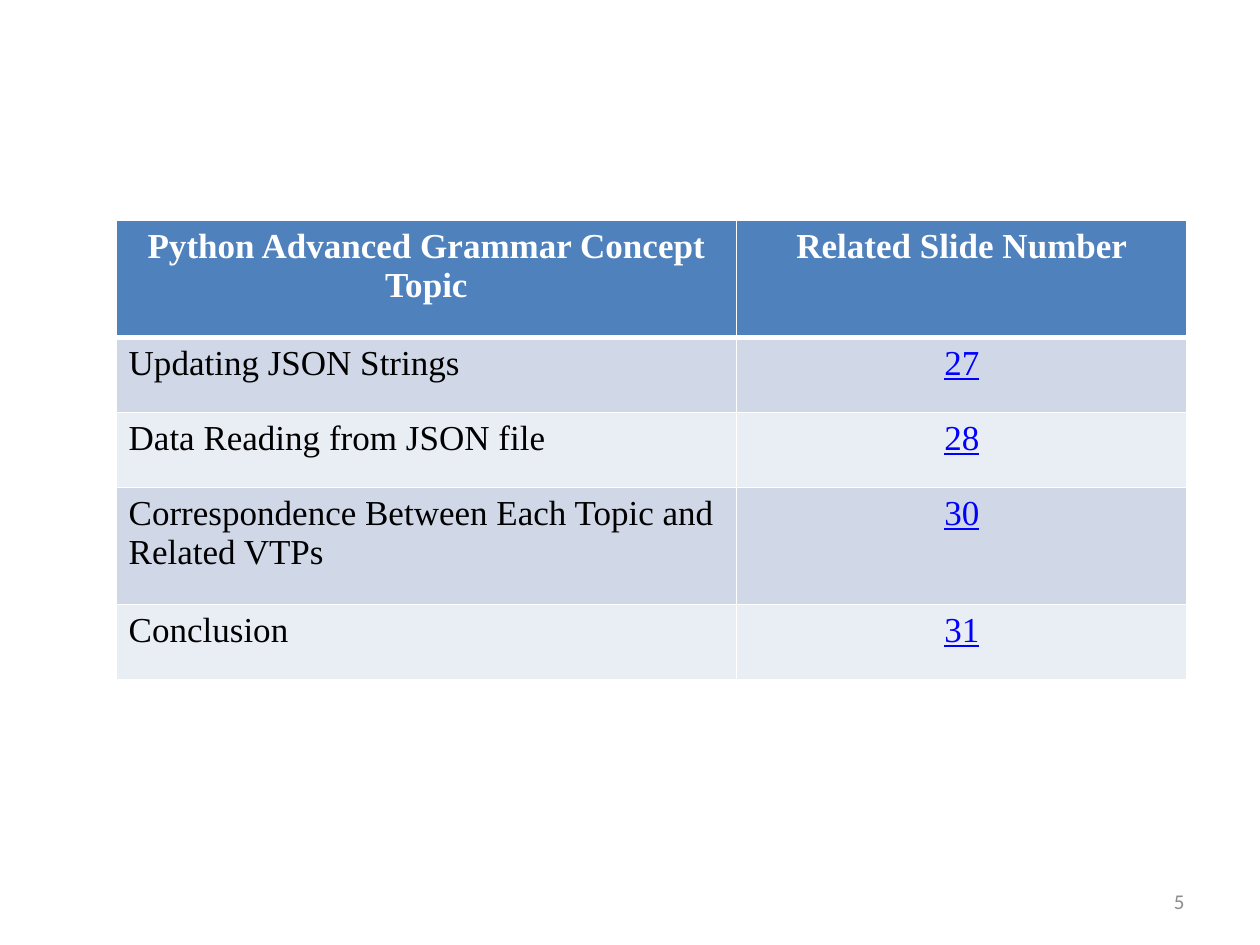
from lxml.etree import SubElement
from pptx import Presentation
from pptx.dml.color import RGBColor as RGB
from pptx.enum.text import MSO_ANCHOR as Anchor, PP_ALIGN as Align
from pptx.oxml.ns import qn
from pptx.util import Cm, Pt

# Content
HEADER = ("Python Advanced Grammar Concept Topic", "Related Slide Number")
TOPICS = [
    ("Updating JSON Strings", "27"),
    ("Data Reading from JSON file", "28"),
    ("Correspondence Between Each Topic and Related VTPs", "30"),
    ("Conclusion", "31"),
]
PAGE_NUMBER = "5"

THEME = {
    "table_font": "Times New Roman", "table_size": 20,
    "page_font": "Calibri", "page_size": 12, "page_color": "8C8C8C",
    "header_fill": "4F81BD", "bands": ("D0D8E8", "E9EDF4"),
    "header_text": "FFFFFF", "text": "000000", "link": "0000FF",
    "border": "FFFFFF", "thin": 1, "thick": 3,
}

# Geometry in centimetres
COLUMNS = (12.51, 9.08)
SHORT_ROW, TALL_ROW = 1.51, 2.36
ONE_LINE_CHARS = 36


def style_run(r, font, size, color, bold=False, underline=False):
    r.font.name, r.font.size = font, Pt(size)
    r.font.color.rgb = RGB.from_string(color)
    r.font.bold, r.font.underline = bold, underline


def set_borders(cell, widths):
    tc_pr = cell._tc.get_or_add_tcPr()
    for side, width in zip("LRTB", widths):
        ln = SubElement(tc_pr, qn(f"a:ln{side}"), w=str(Pt(width)))
        fill = SubElement(ln, qn("a:solidFill"))
        SubElement(fill, qn("a:srgbClr"), val=THEME["border"])


def fill_cell(cell, text, row, col):
    is_header, is_link = row == 0, row > 0 and col == 1
    thin, thick = THEME["thin"], THEME["thick"]
    # The thick rule lies between the header and the first topic
    set_borders(cell, (thin, thin, thick if row == 1 else thin,
                       thick if is_header else thin))
    cell.fill.solid()
    cell.fill.fore_color.rgb = RGB.from_string(
        THEME["header_fill"] if is_header else THEME["bands"][(row - 1) % 2])
    cell.text_frame.text = text
    p = cell.text_frame.paragraphs[0]
    p.alignment = Align.CENTER if is_header or is_link else Align.LEFT
    color = THEME["header_text" if is_header else "link" if is_link else "text"]
    style_run(p.runs[0], THEME["table_font"], THEME["table_size"], color,
              bold=is_header, underline=is_link)


def main():
    prs = Presentation()
    prs.slide_width, prs.slide_height = Cm(25.4), Cm(19.05)
    s = prs.slides.add_slide(prs.slide_layouts[6])

    # Topic table
    rows = [HEADER, *TOPICS]
    heights = [TALL_ROW if len(topic) > ONE_LINE_CHARS else SHORT_ROW
               for topic, _ in rows]
    table = s.shapes.add_table(len(rows), len(COLUMNS), Cm(2.34), Cm(4.45),
                               Cm(sum(COLUMNS)), Cm(sum(heights))).table
    for column, width in zip(table.columns, COLUMNS):
        column.width = Cm(width)
    for i, (texts, height) in enumerate(zip(rows, heights)):
        table.rows[i].height = Cm(height)
        for j, text in enumerate(texts):
            fill_cell(table.cell(i, j), text, i, j)

    # Page number
    tf = s.shapes.add_textbox(Cm(18.2), Cm(17.66), Cm(5.93), Cm(1.01)).text_frame
    tf.word_wrap = True
    tf.vertical_anchor = Anchor.MIDDLE
    tf.text = PAGE_NUMBER
    p = tf.paragraphs[0]
    p.alignment = Align.RIGHT
    style_run(p.runs[0], THEME["page_font"], THEME["page_size"], THEME["page_color"])

    prs.save("out.pptx")


if __name__ == "__main__":
    main()
